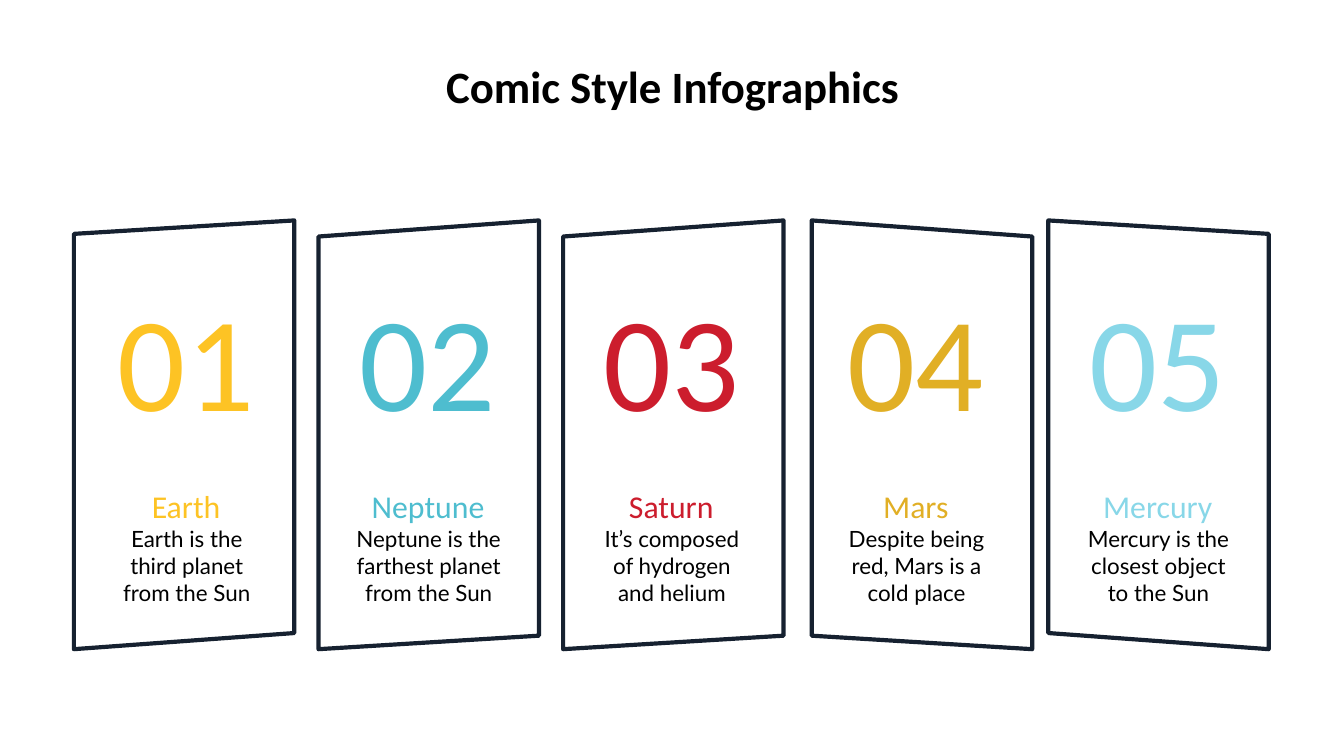
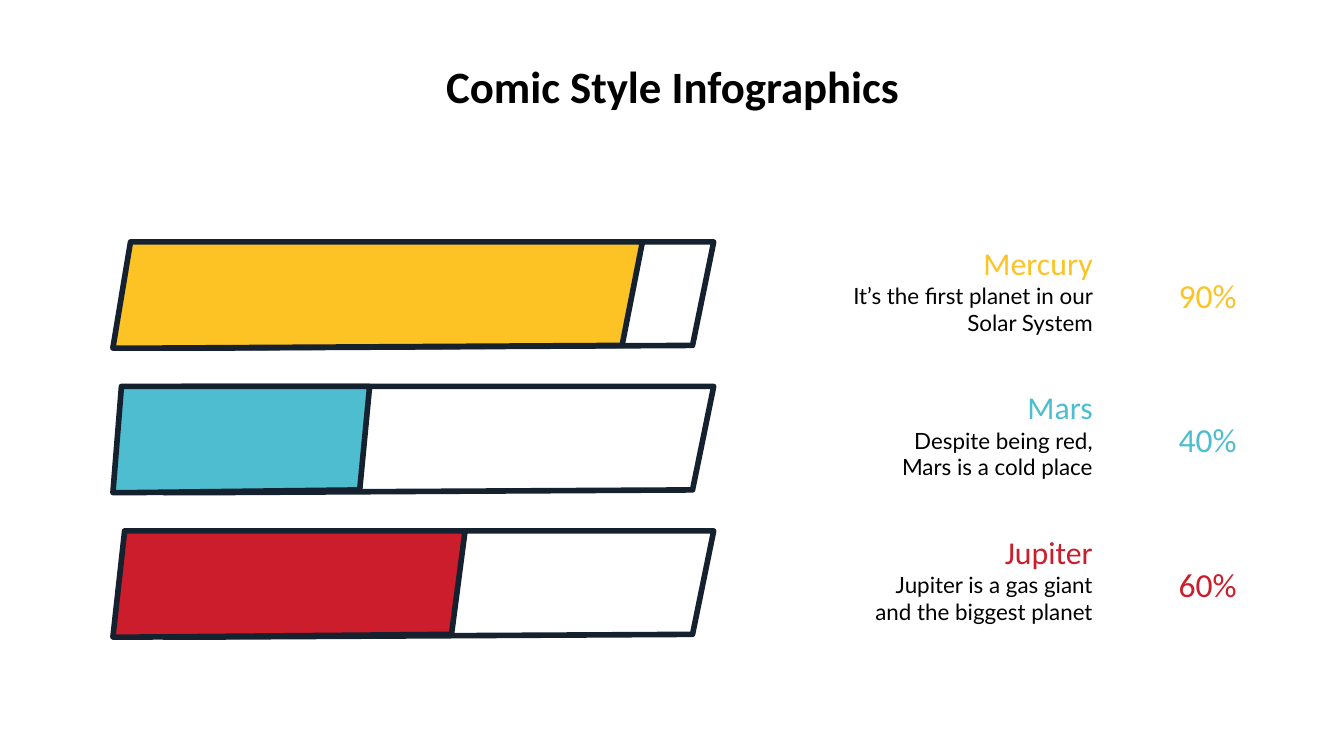
from dataclasses import dataclass
from lxml.etree import SubElement
from pptx import Presentation
from pptx.dml.color import RGBColor
from pptx.enum.text import MSO_ANCHOR, PP_ALIGN
from pptx.oxml.ns import qn
from pptx.util import Inches, Pt


@dataclass(frozen=True)
class Theme:
    ink: str = "162130"
    text: str = "000000"
    white: str = "FFFFFF"
    gold: str = "FDC324"
    teal: str = "4EBDCF"
    red: str = "CC1D2D"
    ochre: str = "E1AF25"
    sky: str = "88D7E8"
    head: str = "Calibri"
    body: str = "Lato"
    title: int = 24
    name: int = 17
    note: int = 12
    share: int = 18
    digit: int = 72


THEME = Theme()

PANELS = [
    (0.55, 0.57, THEME.gold, "Earth", "Earth is the third planet from the Sun"),
    (2.37, 2.37, THEME.teal, "Neptune", "Neptune is the farthest planet from the Sun"),
    (4.19, 4.18, THEME.red, "Saturn", "It’s composed of hydrogen and helium"),
    (6.04, 6, THEME.ochre, "Mars", "Despite being red, Mars is a cold place"),
    (7.8, 7.8, THEME.sky, "Mercury", "Mercury is the closest object to the Sun"),
]

BARS = [
    (4.78, THEME.gold, "90%", "Mercury", "It’s the first planet in our Solar System"),
    (2.75, THEME.teal, "40%", "Mars", "Despite being red,\vMars is a cold place"),
    (3.46, THEME.red, "60%", "Jupiter", "Jupiter is a gas giant\vand the biggest planet"),
]


def style(frame, size, color, font, align, anchor, bold=False):
    frame.word_wrap = True
    frame.vertical_anchor = anchor
    frame.margin_left = frame.margin_right = Inches(0.1)
    frame.margin_top = frame.margin_bottom = Inches(0.1)
    for para in frame.paragraphs:
        para.alignment = align
        for run in para.runs:
            run.font.size = Pt(size)
            run.font.name = font
            run.font.bold = bold
            run.font.color.rgb = RGBColor.from_string(color)


def label(slide, text, box, size, color, font=THEME.head, align=PP_ALIGN.CENTER):
    frame = slide.shapes.add_textbox(*map(Inches, box)).text_frame
    frame.text = text
    style(frame, size, color, font, align, MSO_ANCHOR.MIDDLE)


def outline(slide, points, fill, weight):
    first, *rest = [(Inches(x), Inches(y)) for x, y in points]
    pen = slide.shapes.build_freeform(*first)
    pen.add_line_segments(rest, close=True)
    shape = pen.convert_to_shape()
    shape.shadow.inherit = False
    shape.fill.solid()
    shape.fill.fore_color.rgb = RGBColor.from_string(fill)
    shape.line.color.rgb = RGBColor.from_string(THEME.ink)
    shape.line.width = Pt(weight)
    SubElement(shape.element.spPr.find(qn("a:ln")), qn("a:round"))


def start(deck):
    slide = deck.slides.add_slide(deck.slide_layouts[5])
    title = slide.shapes.title
    title.left, title.top = Inches(0.2), Inches(0.34)
    title.width, title.height = Inches(9.61), Inches(0.63)
    title.text_frame.text = "Comic Style Infographics"
    style(title.text_frame, THEME.title, THEME.text, THEME.head,
          PP_ALIGN.CENTER, MSO_ANCHOR.TOP, True)
    return slide


def panel(slide, left, outer, flip):
    top, base, width = 1.64, 4.83, 1.64
    drop, lift = (0.1, 0.12) if outer else (0.12, 0.1)
    low, high = (left + width, left) if flip else (left, left + width)
    points = [(low, top + drop), (high, top), (high, base - lift), (low, base)]
    outline(slide, points, THEME.white, 2.25)


def bar(slide, left, right, top, fill):
    width = right - left
    base = top + 0.79
    points = [
        (left + width / 30, top),
        (right, top),
        (right - width / 26, base - 0.02),
        (left + width / 13, base),
        (left, base),
    ]
    outline(slide, points, fill, 3)


def draw_panels(slide):
    last = len(PANELS) - 1
    for i, (left, x, color, name, note) in enumerate(PANELS):
        panel(slide, left, i in (0, last), i > last / 2)
        label(slide, f"{i + 1:02}", (x, 2.02, 1.63, 1.28), THEME.digit, color)
        label(slide, name, (x, 3.53, 1.63, 0.47), THEME.name, color)
        label(slide, note, (x + 0.13, 3.92, 1.38, 0.58), THEME.note,
              THEME.text, THEME.body)


def draw_bars(slide):
    right = PP_ALIGN.RIGHT
    for i, (end, color, share, name, note) in enumerate(BARS):
        top = 1.8 + 2.15 * i / 2
        bar(slide, 1.22, 5.31, top, THEME.white)
        bar(slide, 0.84, end, top, color)
        label(slide, name, (6, top - 0.08, 2.23, 0.47), THEME.name, color,
              align=right)
        label(slide, note, (6, top + 0.21, 2.23, 0.58), THEME.note,
              THEME.text, THEME.body, right)
        label(slide, share, (8.43, top + 0.16, 0.87, 0.47), THEME.share, color,
              align=right)


def main():
    deck = Presentation()
    deck.slide_width = Inches(10)
    deck.slide_height = deck.slide_width * 9 // 16
    draw_panels(start(deck))
    draw_bars(start(deck))
    deck.save("out.pptx")


if __name__ == "__main__":
    main()
